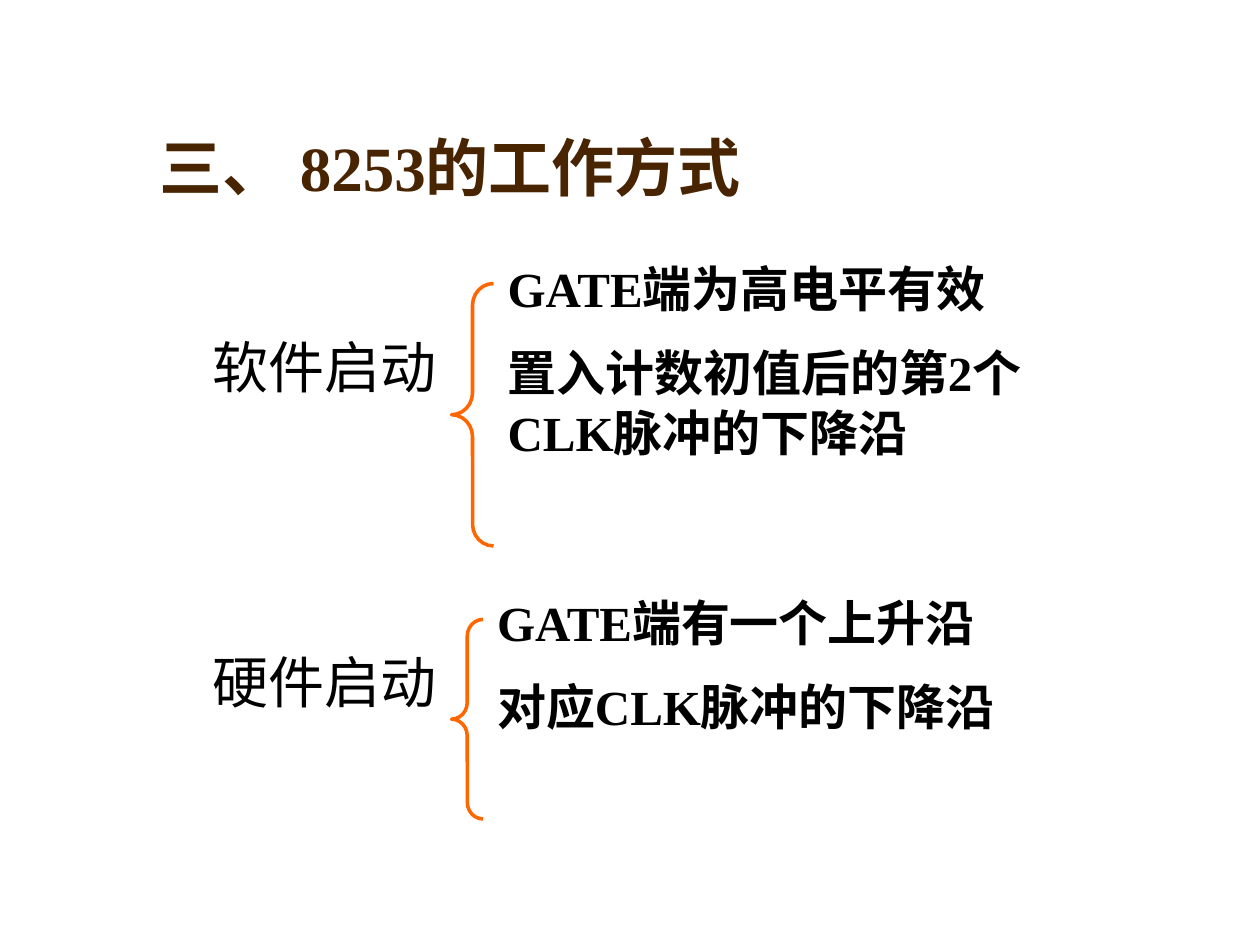
from collections import namedtuple

from pptx import Presentation, util as u
from pptx.dml.color import RGBColor
from pptx.enum import shapes, text
from pptx.oxml.ns import qn

Pt = u.Pt
Box = namedtuple("Box", "left top width height")

THEME = {
    "latin": "Times New Roman",
    "cjk": "Noto Sans CJK SC",
    "ink": RGBColor(0x00, 0x00, 0x00),
    "title": RGBColor(0x48, 0x24, 0x00),
    "brace": RGBColor(0xFF, 0x66, 0x00),
    "brace_line": 2,
    "title_size": 36,
    "label_size": 32,
    "detail_size": 28,
}


def place(shape, box):
    for name, value in box._asdict().items():
        setattr(shape, name, Pt(value))


def format_font(font, size, color, bold, name=THEME["latin"]):
    values = {"name": name, "size": Pt(size), "bold": bold}
    for key, value in values.items():
        setattr(font, key, value)
    font.color.rgb = color


def write_paragraphs(frame, lines, size, bold, line_height, gap):
    """Fill a frame with one paragraph per line, with a gap between them."""
    for index, line in enumerate(lines):
        para = frame.paragraphs[0] if index == 0 else frame.add_paragraph()
        values = {
            "alignment": text.PP_ALIGN.LEFT,
            "line_spacing": Pt(line_height),
            "space_before": Pt(gap if index else 0),
        }
        for key, value in values.items():
            setattr(para, key, value)
        span = para.add_run()
        span.text = line
        format_font(span.font, size, THEME["ink"], bold)


def add_title(page, box, parts):
    title = page.shapes.title
    place(title, box)
    frame = title.text_frame
    frame.auto_size = text.MSO_AUTO_SIZE.NONE
    frame.vertical_anchor = text.MSO_ANCHOR.BOTTOM
    para = frame.paragraphs[0]
    para.alignment = text.PP_ALIGN.LEFT
    for words, font_name in parts:
        span = para.add_run()
        span.text = words
        format_font(span.font, THEME["title_size"], THEME["title"], True, font_name)


def add_labels(page, box, labels, pitch):
    body = page.placeholders[1]
    place(body, box)
    frame = body.text_frame
    frame.auto_size = text.MSO_AUTO_SIZE.NONE
    line_height = 39
    write_paragraphs(frame, labels, THEME["label_size"], False,
                     line_height, pitch - line_height)
    # Plain labels: no bullet, no indent
    for para in frame.paragraphs:
        props = para._p.get_or_add_pPr()
        props.set("marL", "0")
        props.set("indent", "0")
        props.append(props.makeelement(qn("a:buNone"), {}))


def add_details(page, box, lines, brace_size, brace_drop, curve):
    """Place a brace at the left of the box and its conditions beside it."""
    brace_width, brace_height = brace_size
    brace = page.shapes.add_shape(
        shapes.MSO_SHAPE.LEFT_BRACE, Pt(box.left), Pt(box.top + brace_drop),
        Pt(brace_width), Pt(brace_height))
    brace.shadow.inherit = False
    brace.adjustments[0] = curve
    brace.fill.background()
    brace.line.color.rgb = THEME["brace"]
    brace.line.width = Pt(THEME["brace_line"])

    text_left = brace_width + 1
    conditions = page.shapes.add_textbox(
        Pt(box.left + text_left), Pt(box.top),
        Pt(box.width - text_left), Pt(box.height))
    conditions.text_frame.word_wrap = True
    write_paragraphs(conditions.text_frame, lines, THEME["detail_size"], True,
                     line_height=34, gap=14)


def main():
    deck = Presentation()
    deck.slide_width, deck.slide_height = Pt(720), Pt(540)
    page = deck.slides.add_slide(deck.slide_layouts[1])

    add_title(page, Box(84, 30, 612, 90),
              [("三、 8253", THEME["latin"]), ("的工作方式", THEME["cjk"])])
    add_labels(page, Box(114, 186, 156, 232.5), ["软件启动", "硬件启动"], pitch=180)

    # Software start
    add_details(page, Box(258, 144, 354, 176),
                ["GATE端为高电平有效", "置入计数初值后的第2个CLK脉冲的下降沿"],
                brace_size=(24, 150), brace_drop=18, curve=0.52)
    # Hardware start
    add_details(page, Box(258, 334.5, 349, 142),
                ["GATE端有一个上升沿", "对应CLK脉冲的下降沿"],
                brace_size=(18, 114), brace_drop=19.5, curve=0.53)

    deck.save("out.pptx")


if __name__ == "__main__":
    main()
